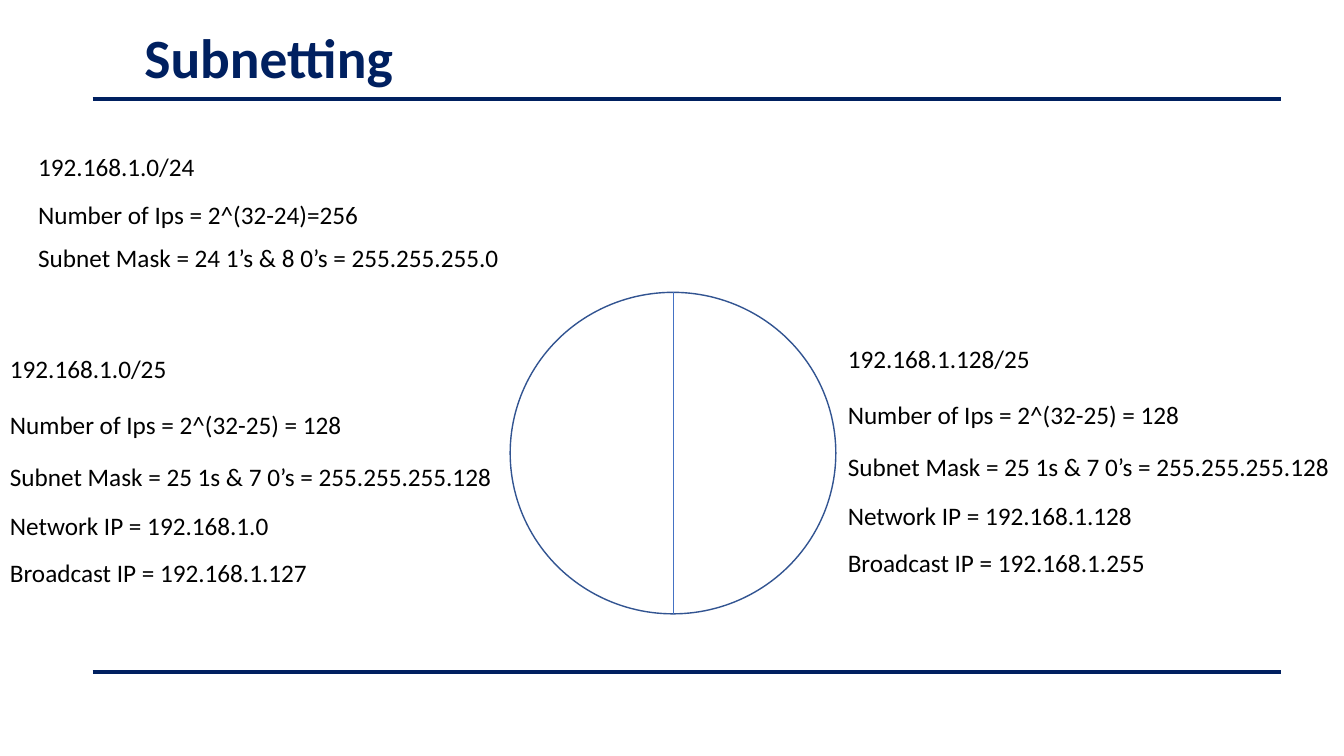
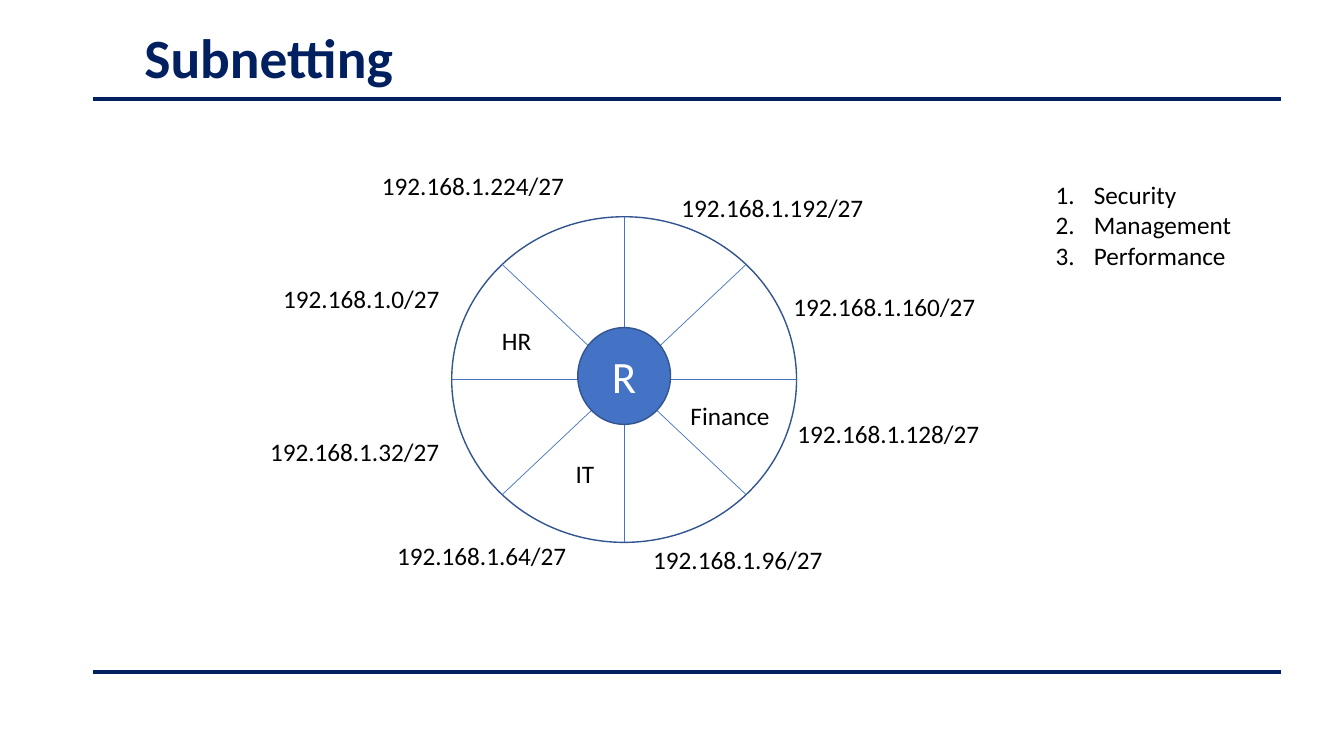
import math
from dataclasses import dataclass

import pptx
import pptx.util
import pptx.dml.color
import pptx.enum.shapes
import pptx.enum.text
import pptx.oxml
import pptx.oxml.ns
from lxml import etree

Pt, Inches = pptx.util.Pt, pptx.util.Inches
Align, Anchor = pptx.enum.text.PP_ALIGN, pptx.enum.text.MSO_ANCHOR
qn = pptx.oxml.ns.qn


@dataclass(frozen=True)
class Theme:
    face: str = "Calibri"
    navy: str = "002060"
    edge: str = "325491"
    blue: str = "4472C4"
    ink: str = "000000"
    white: str = "FFFFFF"
    title: float = 39.6
    hub: float = 32
    body: float = 18
    rule: float = 3
    ring: float = 1
    spoke: float = 0.5
    indent: float = 0.38


@dataclass(frozen=True)
class Box:
    """An area in inches, split into a grid of 100 columns and 100 rows."""
    x: float
    y: float
    w: float
    h: float

    def area(self, col, row, cols, rows):
        return Box(self.x + self.w * col / 100, self.y + self.h * row / 100,
                   self.w * cols / 100, self.h * rows / 100)

    def emu(self):
        return [Inches(v) for v in (self.x, self.y, self.w, self.h)]


THEME = Theme()
PAGE = Box(0, 0, 13.33, 7.5)
NET_TOPS = [0, 22.73, 44.21, 64.05, 83.47]
ROOT_TOPS = [0, 36.64, 69.47]
NET_SPOTS = [(-51.75, 18.89), (-55.56, 65.94), (-18.71, 97.83), (55.56, 99.07),
             (97.37, 60.37), (96.2, 21.36), (63.74, -8.98), (-23.1, -15.79)]
TEAMS = {"HR": (11.7, 31.89), "Finance": (66.37, 54.8), "IT": (33.04, 72.76)}


def rgb(code):
    return pptx.dml.color.RGBColor.from_string(code)


def put(item, **values):
    for name, value in values.items():
        setattr(item, name, value)


def write(frame, lines, size, color, bold=False, **para):
    frame.word_wrap = True
    for i, line in enumerate(lines):
        p = frame.paragraphs[0] if i == 0 else frame.add_paragraph()
        put(p, **para)
        run = p.add_run()
        run.text = line
        put(run.font, name=THEME.face, size=Pt(size), bold=bold)
        run.font.color.rgb = rgb(color)


def label(slide, box, *lines):
    frame = slide.shapes.add_textbox(*box.emu()).text_frame
    frame.margin_right = 0
    write(frame, lines, THEME.body, THEME.ink)
    return frame


def line(slide, x1, y1, x2, y2, color, width):
    ends = [Inches(v) for v in (x1, y1, x2, y2)]
    kind = pptx.enum.shapes.MSO_CONNECTOR.STRAIGHT
    link = slide.shapes.add_connector(kind, *ends)
    link.line.color.rgb = rgb(color)
    link.line.width = Pt(width)
    etree.SubElement(link._element.spPr, qn("a:effectLst"))


def disc(slide, box, fill=None):
    kind = pptx.enum.shapes.MSO_SHAPE.OVAL
    shape = slide.shapes.add_shape(kind, *box.emu())
    shape.shadow.inherit = False
    if fill:
        shape.fill.solid()
        shape.fill.fore_color.rgb = rgb(fill)
    else:
        shape.fill.background()
    shape.line.color.rgb = rgb(THEME.edge)
    shape.line.width = Pt(THEME.ring)
    return shape


def wheel(slide, box, cuts):
    """Draw a ring cut by evenly turned diameters, the first one upright."""
    disc(slide, box)
    mx, my = box.x + box.w / 2, box.y + box.h / 2
    for i in range(cuts):
        turn = math.pi * i / cuts
        dx, dy = box.w / 2 * math.sin(turn), box.h / 2 * math.cos(turn)
        line(slide, mx - dx, my - dy, mx + dx, my + dy, THEME.blue, THEME.spoke)


def facts(slide, box, tops, lines):
    for top, text in zip(tops, lines):
        label(slide, box.area(0, top, 100, 100 - tops[-1]), text)


def half(slide, box, first, last):
    facts(slide, box, NET_TOPS, [
        f"192.168.1.{first}/25",
        "Number of Ips = 2^(32-25) = 128",
        "Subnet Mask = 25 1s & 7 0’s = 255.255.255.128",
        f"Network IP = 192.168.1.{first}",
        f"Broadcast IP = 192.168.1.{last}"])


def offices(slide, box):
    """Draw the wheel of eight subnets around a router."""
    wheel(slide, box, 4)
    for i, spot in enumerate(NET_SPOTS):
        label(slide, box.area(*spot, 61, 12.38), f"192.168.1.{32 * i}/27")
    hub = disc(slide, box.area(36.55, 34.06, 26.9, 29.72), THEME.blue)
    hub.text_frame.vertical_anchor = Anchor.MIDDLE
    write(hub.text_frame, ["R"], THEME.hub, THEME.white, alignment=Align.CENTER)
    for team, spot in TEAMS.items():
        label(slide, box.area(*spot, 30.41, 12.38), team)


def goals(slide, box):
    frame = label(slide, box, "Security", "Management", "Performance")
    step = Inches(THEME.indent)
    for p in frame.paragraphs:
        props = p._p.get_or_add_pPr()
        props.set("marL", str(step))
        props.set("indent", str(-step))
        etree.SubElement(props, qn("a:buAutoNum"), type="arabicPeriod")


def start(deck, title):
    """Add a slide with the shared title and rules."""
    slide = deck.slides.add_slide(deck.slide_layouts[6])
    head = slide.shapes.add_textbox(*PAGE.area(10, 3.33, 80, 9.33).emu())
    head.text_frame.vertical_anchor = Anchor.MIDDLE
    write(head.text_frame, [title], THEME.title, THEME.navy, True,
          line_spacing=0.9)
    for row in (88.93, 13.07):
        bar = PAGE.area(6.9, row, 88.45, 0)
        line(slide, bar.x, bar.y, bar.x + bar.w, bar.y, THEME.navy, THEME.rule)
    return slide


def split(deck):
    slide = start(deck, "Subnetting")
    wheel(slide, PAGE.area(37.96, 38.67, 24.23, 42.53), 1)
    facts(slide, PAGE.area(2.1, 19.33, 37.7, 17.47), ROOT_TOPS, [
        "192.168.1.0/24",
        "Number of Ips = 2^(32-24)=256",
        "Subnet Mask = 24 1’s & 8 0’s = 255.255.255.0"])
    half(slide, PAGE.area(0, 46.13, 37.66, 32.27), 0, 127)
    half(slide, PAGE.area(62.34, 44.8, 37.66, 32.27), 128, 255)


def share(deck):
    slide = start(deck, "Subnetting")
    offices(slide, PAGE.area(33.61, 28.67, 25.66, 43.07))
    goals(slide, PAGE.area(77.8, 23.07, 14.7, 13.47))


def main():
    deck = pptx.Presentation()
    put(deck, slide_width=Inches(PAGE.w), slide_height=Inches(PAGE.h))
    split(deck)
    share(deck)
    deck.save("out.pptx")


if __name__ == "__main__":
    main()
